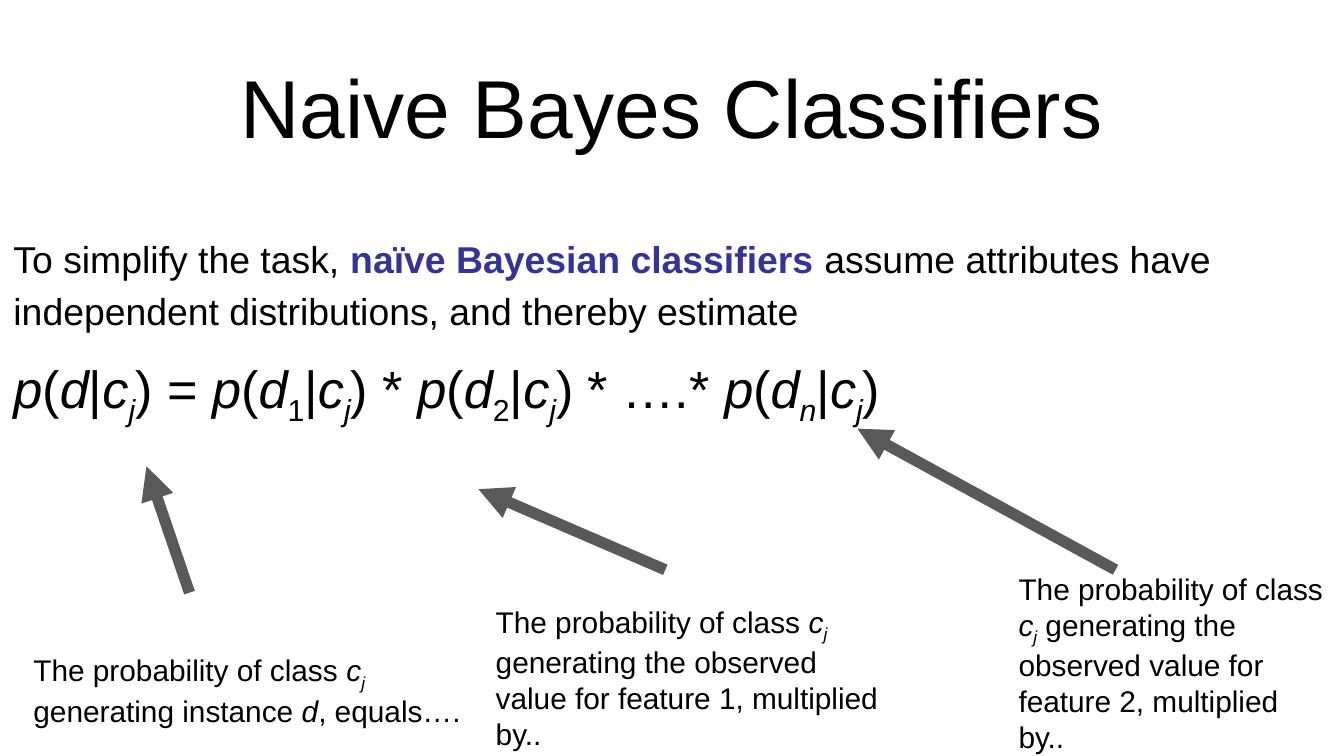
"""Build the Naive Bayes Classifiers slide."""
from dataclasses import dataclass

from lxml.etree import SubElement
from pptx import Presentation
from pptx.dml.color import RGBColor
from pptx.enum.shapes import MSO_CONNECTOR as Connector
from pptx.enum.text import MSO_ANCHOR as Anchor, MSO_AUTO_SIZE as AutoSize, PP_ALIGN as Align
from pptx.oxml.ns import qn
from pptx.shapes.base import BaseShape
from pptx.slide import Slide
from pptx.text.text import TextFrame, _Paragraph as Paragraph
from pptx.util import Inches, Pt

SLIDE_WIDTH = 10
SLIDE_HEIGHT = SLIDE_WIDTH * 9 / 16
FONT = "Arial"
COLORS = {"text": "000000", "accent": "333399", "arrow": "595959"}


@dataclass(frozen=True)
class Piece:
    text: str
    italic: bool = False
    subscript: bool = False
    accent: bool = False


@dataclass(frozen=True)
class Note:
    box: tuple[float, float, float, float]
    pieces: list[Piece]


@dataclass(frozen=True)
class Arrow:
    start: tuple[float, float]
    end: tuple[float, float]


CLASS_J = [Piece("c", italic=True), Piece("j", italic=True, subscript=True)]


def probability(index: Piece | None = None) -> list[Piece]:
    """Return p(d|cj), with an optional index on d."""
    indices = [index] if index else []
    return [Piece("p", italic=True), Piece("("), Piece("d", italic=True), *indices,
            Piece("|"), *CLASS_J, Piece(")")]


INTRODUCTION = [
    Piece("To simplify the task, "),
    Piece("naïve Bayesian classifiers", accent=True),
    Piece(" assume attributes have independent distributions, and thereby estimate"),
]
FORMULA = [
    *probability(), Piece(" = "),
    *probability(Piece("1", subscript=True)), Piece(" * "),
    *probability(Piece("2", subscript=True)), Piece(" * ….* "),
    *probability(Piece("n", italic=True, subscript=True)),
]
NOTE_START = [Piece("The probability of class "), *CLASS_J]


def feature_pieces(number: int) -> list[Piece]:
    """Return the explanation of one feature's factor."""
    ending = f" generating the observed value for feature {number}, multiplied by.."
    return [*NOTE_START, Piece(ending)]


NOTES = [
    Note((0.15, 3.96, 3.45, 2.35), [*NOTE_START, Piece(" generating instance "),
                                    Piece("d", italic=True), Piece(", equals….")]),
    Note((3.59, 4.09, 3.17, 1.9), feature_pieces(1)),
    Note((7.48, 3.83, 2.52, 2.2), feature_pieces(2)),
]
ARROWS = [
    Arrow((1.41, 4.41), (1.09, 3.47)),
    Arrow((4.95, 4.24), (3.56, 3.64)),
    Arrow((8.3, 4.24), (6.38, 3.19)),
]


def place(shape: BaseShape, left: float, top: float, width: float, height: float) -> None:
    """Move and size a shape in inches."""
    shape.left, shape.top = Inches(left), Inches(top)
    shape.width, shape.height = Inches(width), Inches(height)


def set_frame(frame: TextFrame, anchor: Anchor, vertical_inset: float = 0.1) -> None:
    """Set wrapping, anchor and insets."""
    frame.word_wrap = True
    frame.auto_size = AutoSize.NONE
    frame.vertical_anchor = anchor
    frame.margin_left = frame.margin_right = Inches(0.1)
    frame.margin_top = frame.margin_bottom = Inches(vertical_inset)


def write(paragraph: Paragraph, pieces: list[Piece], size: float) -> None:
    """Write formatted pieces as the runs of a paragraph."""
    for piece in pieces:
        run = paragraph.add_run()
        run.text = piece.text
        run.font.name = FONT
        run.font.size = Pt(size)
        run.font.italic = piece.italic
        run.font.bold = piece.accent
        run.font.color.rgb = RGBColor.from_string(COLORS["accent" if piece.accent else "text"])
        if piece.subscript:
            run._r.get_or_add_rPr().set("baseline", "-25000")


def fill_title(slide: Slide) -> None:
    """Place and write the title."""
    title = slide.shapes.title
    place(title, -0.75, -0.24, 11.5, 1.45)
    set_frame(title.text_frame, Anchor.BOTTOM, 0.05)
    paragraph = title.text_frame.paragraphs[0]
    paragraph.alignment = Align.CENTER
    paragraph.line_spacing = 0.9
    write(paragraph, [Piece("Naive Bayes Classifiers")], 44)


def fill_body(slide: Slide) -> None:
    """Place the body and write the introduction and the formula."""
    body = slide.placeholders[1]
    place(body, 0, 1.13, 9.63, 2.63)
    frame = body.text_frame
    set_frame(frame, Anchor.MIDDLE)
    rows = [(frame.paragraphs[0], INTRODUCTION, 20, 6), (frame.add_paragraph(), FORMULA, 28, 7)]
    for paragraph, pieces, size, space in rows:
        paragraph.line_spacing = 1.15
        paragraph.space_before = Pt(space)
        properties = paragraph._p.get_or_add_pPr()
        properties.set("marL", "0")
        properties.set("indent", "0")
        SubElement(properties, qn("a:buNone"))
        write(paragraph, pieces, size)


def add_note(slide: Slide, note: Note) -> None:
    """Add an explanation below the formula."""
    box = slide.shapes.add_textbox(*map(Inches, note.box))
    set_frame(box.text_frame, Anchor.MIDDLE)
    write(box.text_frame.paragraphs[0], note.pieces, 16)


def add_arrow(slide: Slide, arrow: Arrow) -> None:
    """Add a thick arrow pointing at the formula."""
    points = map(Inches, (*arrow.start, *arrow.end))
    connector = slide.shapes.add_connector(Connector.STRAIGHT, *points)
    connector.line.width = Pt(6)
    connector.line.color.rgb = RGBColor.from_string(COLORS["arrow"])
    SubElement(connector.line._get_or_add_ln(), qn("a:tailEnd"), type="triangle")
    SubElement(connector._element.spPr, qn("a:effectLst"))


def main() -> None:
    """Build and save the presentation."""
    presentation = Presentation()
    presentation.slide_width = Inches(SLIDE_WIDTH)
    presentation.slide_height = Inches(SLIDE_HEIGHT)
    slide = presentation.slides.add_slide(presentation.slide_layouts[1])
    fill_title(slide)
    fill_body(slide)
    for note in NOTES:
        add_note(slide, note)
    for arrow in ARROWS:
        add_arrow(slide, arrow)
    presentation.save("out.pptx")


if __name__ == "__main__":
    main()
